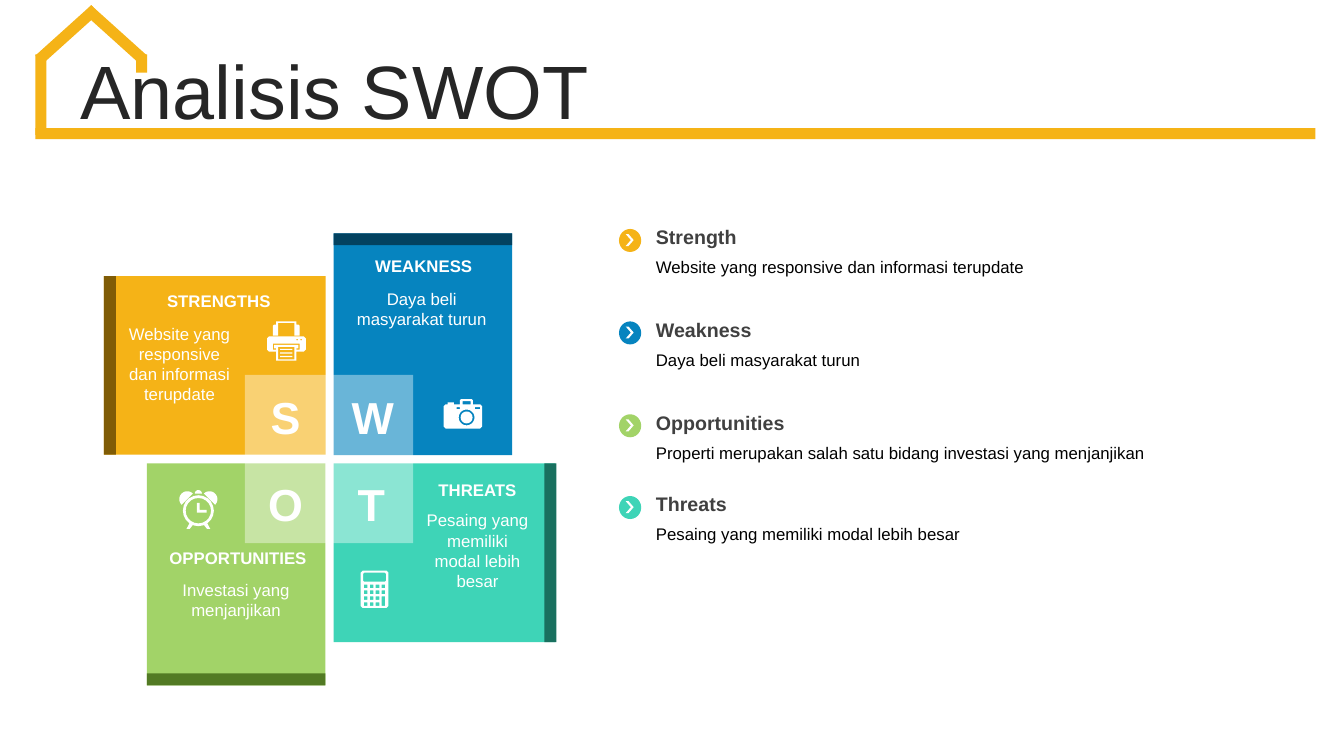
from math import cos, radians, sin

from lxml.etree import SubElement
from pptx import Presentation
from pptx.dml.color import RGBColor
from pptx.enum.shapes import MSO_SHAPE as Kind
from pptx.enum.text import MSO_ANCHOR as Anchor, MSO_AUTO_SIZE as Fit, PP_ALIGN as Align
from pptx.oxml.ns import qn
from pptx.util import Cm, Pt

GOLD = RGBColor(0xF5, 0xB3, 0x17)
BROWN = RGBColor(0x80, 0x5C, 0x06)
BLUE = RGBColor(0x06, 0x84, 0xBF)
NAVY = RGBColor(0x03, 0x42, 0x60)
GREEN = RGBColor(0xA2, 0xD3, 0x68)
MOSS = RGBColor(0x52, 0x7A, 0x24)
TEAL = RGBColor(0x3E, 0xD4, 0xB7)
PINE = RGBColor(0x19, 0x70, 0x5F)
WHITE = RGBColor(0xFF, 0xFF, 0xFF)
BLACK = RGBColor(0, 0, 0)
GREY = RGBColor(0x40, 0x40, 0x40)
DARK = RGBColor(0x26, 0x26, 0x26)


# Outlines in cm, used by the icons
def arc(x, y, r, start=0, end=360):
    turns = [radians(start + (end - start) * i / 20) for i in range(21)]
    return [(x + r * cos(t), y + r * sin(t)) for t in turns]


def box(x, y, w, h):
    return [(x, y), (x + w, y), (x + w, y + h), (x, y + h)]


def bevel(x, y, w, h, c):
    return [(x + c, y), (x + w - c, y), (x + w, y + c), (x + w, y + h - c),
            (x + w - c, y + h), (x + c, y + h), (x, y + h - c), (x, y + c)]


def flip(line, mid):
    return [(2 * mid - x, y) for x, y in line]


class Board:
    font = "Arial"

    def __init__(self, slide):
        self.shapes = slide.shapes

    def paint(self, shape, color):
        shape.shadow.inherit = False
        shape.fill.solid()
        shape.fill.fore_color.rgb = color
        shape.line.fill.background()
        return shape

    def shape(self, x, y, w, h, color, kind=Kind.RECTANGLE, turn=0):
        item = self.shapes.add_shape(kind, Cm(x), Cm(y), Cm(w), Cm(h))
        item.rotation = turn
        return self.paint(item, color)

    def veil(self, x, y, side, alpha):
        item = self.shape(x, y, side, side, WHITE)
        tint = item.element.find(".//" + qn("a:solidFill"))[0]
        SubElement(tint, qn("a:alpha"), val=str(alpha * 1000))

    def text(self, x, y, w, h, words, size, color, bold=False,
             align=Align.CENTER, anchor=Anchor.TOP, space=None):
        frame = self.shapes.add_textbox(Cm(x), Cm(y), Cm(w), Cm(h)).text_frame
        frame.word_wrap = True
        frame.auto_size = Fit.NONE
        frame.vertical_anchor = anchor
        para = frame.paragraphs[0]
        para.alignment = align
        if space:
            para.line_spacing = space
        run = para.add_run()
        run.text = words
        run.font.name = self.font
        run.font.size = Pt(size)
        run.font.bold = bold
        run.font.color.rgb = color

    def panel(self, x, y, w, h, color, edge, shade):
        self.shape(x, y, w, h, color)
        self.shape(*edge, shade)

    def icon(self, x, y, lines):
        spots = [[(Cm(x + a), Cm(y + b)) for a, b in line] for line in lines]
        pen = self.shapes.build_freeform(*spots[0][0])
        for i, line in enumerate(spots):
            if i:
                pen.move_to(*line[0])
            pen.add_line_segments(line[1:], close=True)
        self.paint(pen.convert_to_shape(), WHITE)

    def item(self, y, color, head, words):
        self.shape(15.6, y, 0.56, 0.58, color, Kind.OVAL)
        mark = self.shape(15.77, y + 0.13, 0.2, 0.3, WHITE, Kind.CHEVRON)
        mark.adjustments[0] = 0.65
        self.text(16.28, y - 0.23, 15.29, 0.86, head, 14, GREY, True,
                  Align.LEFT, Anchor.MIDDLE)
        self.text(16.28, y + 0.58, 15.29, 0.76, words, 12, BLACK, align=Align.LEFT)


def main():
    deck = Presentation()
    deck.slide_width, deck.slide_height = Cm(33.87), Cm(19.05)
    board = Board(deck.slides.add_slide(deck.slide_layouts[6]))

    # House outline and title
    for x, y, w, h, turn in [(0.89, 3.23, 32.26, 0.28, 0), (0.89, 1.37, 0.28, 2.03, 0),
                             (3.43, 1.37, 0.28, 0.46, 0), (1.55, -0.08, 0.28, 1.9, 48),
                             (2.77, -0.08, 0.28, 1.9, 312)]:
        board.shape(x, y, w, h, GOLD, turn=turn)
    board.text(1.78, 1.4, 31.27, 2.01, "Analisis SWOT", 54, DARK,
               align=Align.LEFT, anchor=Anchor.MIDDLE, space=0.9)

    # Four panels, each with a dark outer edge
    long, short, rim = 5.59, 4.5, 0.3
    board.panel(2.62, 6.96, long, short, GOLD, (2.62, 6.96, rim, short), BROWN)
    board.panel(8.41, 11.68, long, short, TEAL, (13.72, 11.68, rim, short), PINE)
    board.panel(8.41, 5.88, short, long, BLUE, (8.41, 5.88, short, rim), NAVY)
    board.panel(3.7, 11.68, short, long, GREEN, (3.7, 16.97, short, rim), MOSS)

    # Pale square with the four letters
    board.veil(6.17, 9.45, 4.24, 40)
    for i, letter in enumerate("SWOT"):
        row, col = divmod(i, 2)
        board.text(6.45 + 2.16 * col, 9.7 + 2.19 * row, 1.5, 1.63, letter, 32, WHITE, True)

    # Panel headings and texts
    for x, y, w, head in [(2.9, 7.19, 5.23, "STRENGTHS"), (8.61, 6.32, 4.14, "WEAKNESS"),
                          (3.84, 13.67, 4.32, "OPPORTUNITIES"),
                          (10.41, 11.96, 3.25, "THREATS")]:
        board.text(x, y, w, 0.76, head, 12, WHITE, True)
    for x, y, w, h, words in [
            (8.46, 7.14, 4.34, 1.27, "Daya beli masyarakat turun"),
            (2.9, 8.03, 3.25, 2.31, "Website yang responsive dan informasi terupdate"),
            (10.41, 12.73, 3.25, 2.31, "Pesaing yang memiliki modal lebih besar"),
            (3.78, 14.48, 4.34, 1.27, "Investasi yang menjanjikan")]:
        board.text(x, y, w, h, words, 12, WHITE)

    # List on the right
    for y, color, head, words in [
            (5.77, GOLD, "Strength", "Website yang responsive dan informasi terupdate"),
            (8.1, BLUE, "Weakness", "Daya beli masyarakat turun"),
            (10.44, GREEN, "Opportunities",
             "Properti merupakan salah satu bidang investasi yang menjanjikan"),
            (12.5, TEAL, "Threats", "Pesaing yang memiliki modal lebih besar")]:
        board.item(y, color, head, words)

    # Alarm clock
    leg = [(0.36, 0.89), (0.28, 0.99), (0.2, 0.99), (0.28, 0.84)]
    bell = arc(0.22, 0.24, 0.2, 135, 315)
    hands = [(0.46, 0.33), (0.53, 0.33), (0.53, 0.51), (0.71, 0.51), (0.71, 0.58), (0.46, 0.58)]
    board.icon(4.5, 12.34, [arc(0.5, 0.53, 0.39), arc(0.5, 0.53, 0.32), hands,
                            leg, flip(leg, 0.5), bell, flip(bell, 0.5),
                            arc(0.5, 0.1, 0.09, 180, 360)])

    # Calculator
    keys = [box(0.08 + 0.15 * col, 0.35 + 0.15 * row, 0.09, 0.09)
            for row in range(4) for col in range(4) if col < 3 or row < 2]
    board.icon(9.09, 14.38, [bevel(0, 0, 0.7, 0.94, 0.05), bevel(0.06, 0.05, 0.58, 0.23, 0.03),
                             box(0.53, 0.65, 0.09, 0.24)] + keys)

    # Printer
    case = [(0.05, 0.38), (0.93, 0.38), (0.98, 0.43), (0.98, 0.71), (0.93, 0.76), (0.74, 0.76),
            (0.74, 0.99), (0.23, 0.99), (0.23, 0.76), (0.05, 0.76), (0, 0.71), (0, 0.43)]
    slot = [(0.15, 0.56), (0.82, 0.56), (0.82, 0.71), (0.74, 0.71), (0.74, 0.68), (0.79, 0.68),
            (0.79, 0.59), (0.18, 0.59), (0.18, 0.68), (0.23, 0.68), (0.23, 0.71), (0.15, 0.71)]
    feed = [(0.23, 0), (0.74, 0), (0.74, 0.08), (0.79, 0.08), (0.82, 0.11), (0.82, 0.36),
            (0.69, 0.36), (0.69, 0.04), (0.28, 0.04), (0.28, 0.36), (0.15, 0.36),
            (0.15, 0.11), (0.18, 0.08), (0.23, 0.08)]
    rows = [box(0.33, 0.69 + 0.09 * i, 0.31, 0.03) for i in range(3)]
    board.icon(6.73, 8.1, [case, slot, feed, box(0.28, 0.64, 0.41, 0.32),
                           arc(0.76, 0.46, 0.02), arc(0.86, 0.46, 0.02)] + rows)

    # Camera
    body = [(0.05, 0.13), (0.1, 0.13), (0.1, 0.08), (0.26, 0.08), (0.26, 0.13), (0.41, 0.13),
            (0.41, 0.03), (0.44, 0), (0.71, 0), (0.74, 0.03), (0.74, 0.13), (0.92, 0.13),
            (0.97, 0.18), (0.97, 0.69), (0.92, 0.74), (0.05, 0.74), (0, 0.69), (0, 0.18)]
    board.icon(11.18, 10.06, [body, arc(0.58, 0.46, 0.2), arc(0.58, 0.46, 0.15),
                              box(0.33, 0.2, 0.08, 0.05), box(0.79, 0.2, 0.13, 0.05),
                              box(0.48, 0.05, 0.2, 0.08)])

    deck.save("out.pptx")


if __name__ == "__main__":
    main()
